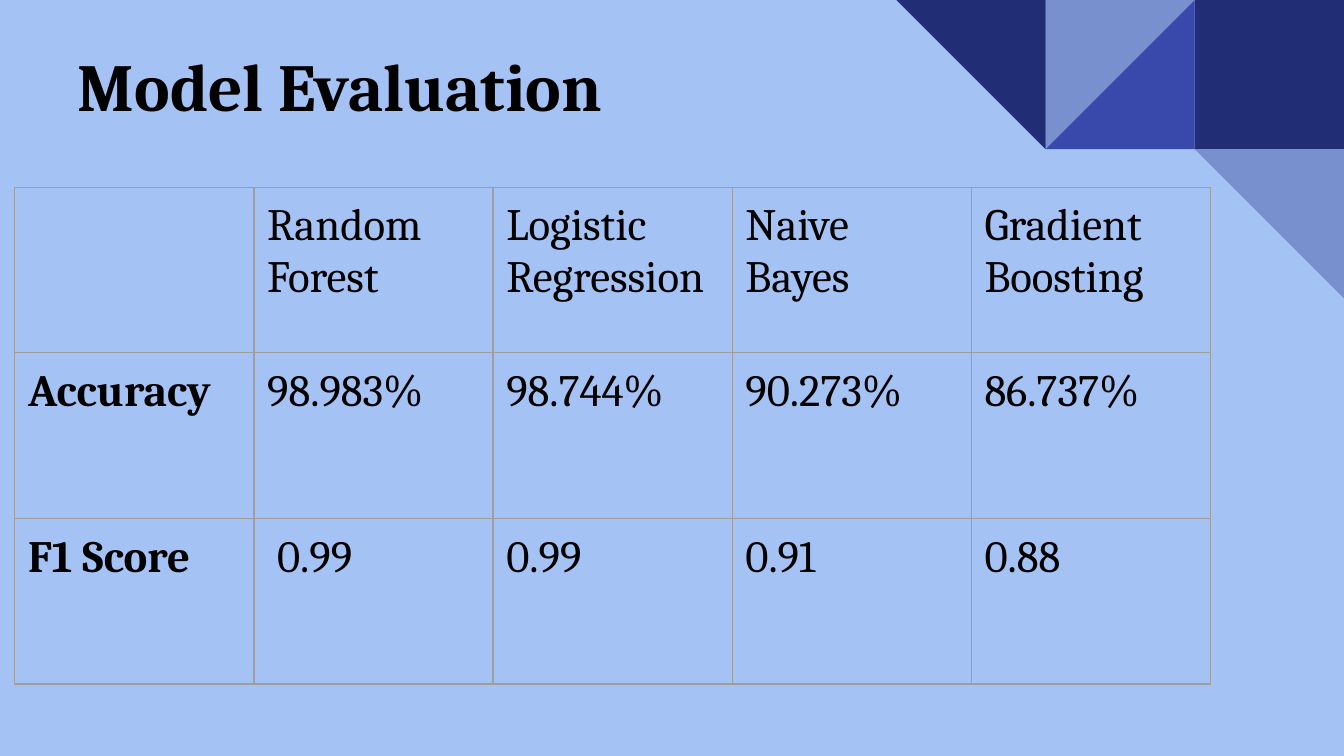
from lxml import etree
from pptx import Presentation
from pptx.dml.color import RGBColor
from pptx.enum.shapes import MSO_SHAPE
from pptx.enum.text import MSO_ANCHOR, PP_ALIGN
from pptx.oxml.ns import qn
from pptx.util import Cm, Pt

RECT = MSO_SHAPE.RECTANGLE
WEDGE = MSO_SHAPE.RIGHT_TRIANGLE
MIDDLE = MSO_ANCHOR.MIDDLE
LEFT = PP_ALIGN.LEFT

COLORS = {
    "back": "A4C2F4",
    "navy": "212D74",
    "indigo": "3949AB",
    "haze": "7890CD",
    "grid": "9E9E9E",
    "text": "000000",
}
WIDTH, HEIGHT = 25.4, 14.29
TILE = 2.82
INSET = Cm(0.25)

# shape, columns from the right edge, row, color, rotation, flipped
TILES = [
    (RECT, 1, 0, "navy", 0, False),
    (WEDGE, 2, 0, "indigo", 0, True),
    (WEDGE, 2, 0, "haze", 180, True),
    (WEDGE, 3, 0, "navy", 180, False),
    (WEDGE, 1, 1, "haze", 180, False),
]
SCORES = [
    ["", "Random Forest", "Logistic Regression", "Naive Bayes", "Gradient Boosting"],
    ["Accuracy", "98.983%", "98.744%", "90.273%", "86.737%"],
    ["F1 Score", " 0.99", "0.99", "0.91", "0.88"],
]


class Deck:
    def __init__(self, font):
        self.font = font
        self.prs = Presentation()
        self.prs.slide_width, self.prs.slide_height = Cm(WIDTH), Cm(HEIGHT)
        self.slide = self.prs.slides.add_slide(self.prs.slide_layouts[5])
        self.paint(self.slide.background.fill, "back")

    def paint(self, fill, color):
        fill.solid()
        fill.fore_color.rgb = RGBColor.from_string(COLORS[color])

    def label(self, frame, text, size, bold=False):
        para = frame.paragraphs[0]
        para.alignment = LEFT
        run = para.add_run()
        run.text = text
        run.font.name = self.font
        run.font.size = Pt(size)
        run.font.bold = bold
        run.font.color.rgb = RGBColor.from_string(COLORS["text"])

    def pad(self, item):
        """Set equal margins on a cell or a text frame."""
        item.margin_left = item.margin_right = INSET
        item.margin_top = item.margin_bottom = INSET

    def tile(self, kind, col, row, color, turn, flip):
        side = Cm(TILE)
        shape = self.slide.shapes.add_shape(
            kind, Cm(WIDTH - col * TILE), Cm(row * TILE), side, side)
        shape.shadow.inherit = False
        self.paint(shape.fill, color)
        shape.line.fill.background()
        shape.rotation = turn
        if flip:
            shape.element.spPr.find(qn("a:xfrm")).set("flipH", "1")

    def title(self, text, left, top, width, height):
        box = self.slide.shapes.title
        box.left, box.top = Cm(left), Cm(top)
        box.width, box.height = Cm(width), Cm(height)
        frame = box.text_frame
        frame.word_wrap = True
        frame.vertical_anchor = MIDDLE
        self.pad(frame)
        self.label(frame, text, 36, True)

    def border(self, cell):
        props = cell._tc.get_or_add_tcPr()
        for spot, side in enumerate(("lnL", "lnR", "lnT", "lnB")):
            line = etree.Element(qn("a:" + side), w=str(Pt(0.75)))
            fill = etree.SubElement(line, qn("a:solidFill"))
            etree.SubElement(fill, qn("a:srgbClr"), val=COLORS["grid"])
            props.insert(spot, line)

    def table(self, rows, left, top, wide, high):
        """Draw a grid whose cells all measure wide by high."""
        count = len(rows[0])
        grid = self.slide.shapes.add_table(
            len(rows), count, Cm(left), Cm(top),
            Cm(wide * count), Cm(high * len(rows))).table
        grid.first_row = grid.horz_banding = False
        for col in grid.columns:
            col.width = Cm(wide)
        for r, row in enumerate(rows):
            grid.rows[r].height = Cm(high)
            for c, text in enumerate(row):
                cell = grid.cell(r, c)
                cell.fill.background()
                self.pad(cell)
                self.border(cell)
                if text:
                    self.label(cell.text_frame, text, 24, c == 0)


def main():
    deck = Deck("Cambria")
    for tile in TILES:
        deck.tile(*tile)
    deck.title("Model Evaluation", 1.22, 0, 15.14, 3.2)
    deck.table(SCORES, 0.28, 3.54, 4.52, 3.13)
    deck.prs.save("out.pptx")


if __name__ == "__main__":
    main()
